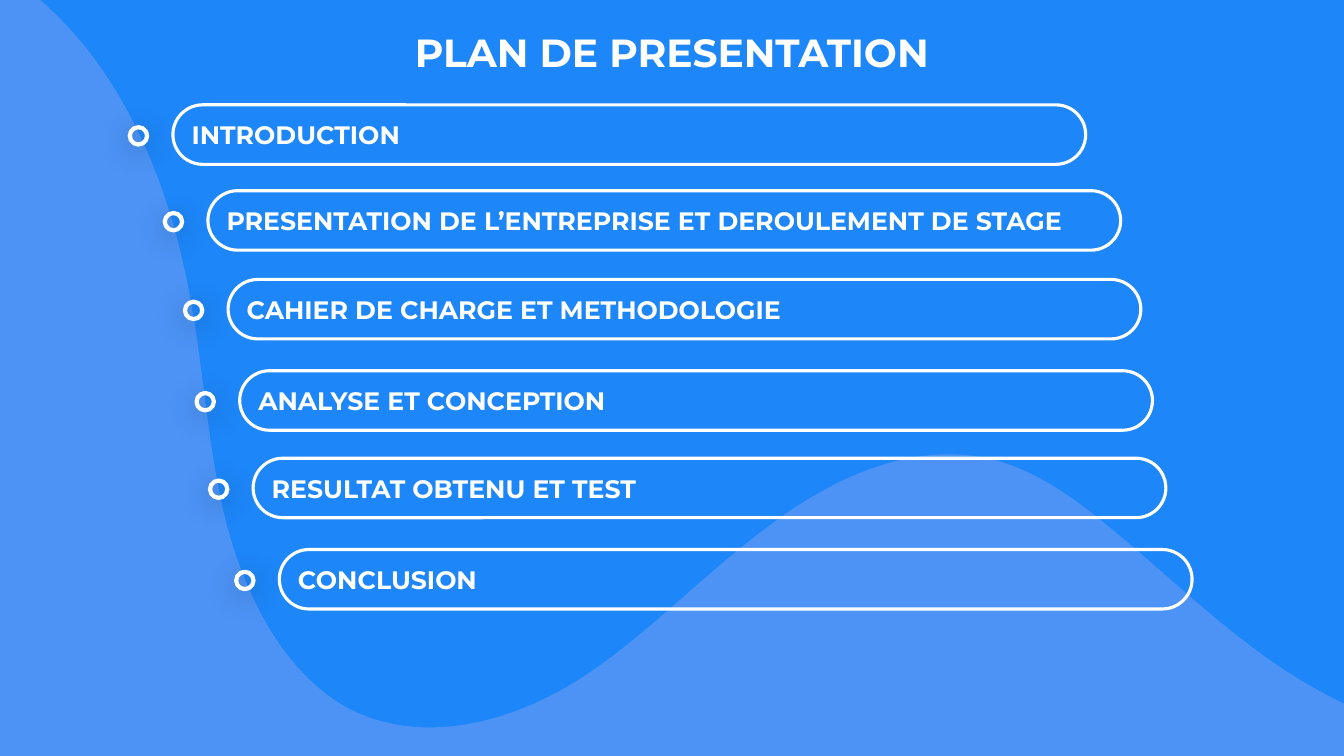
import lxml.etree
import pptx
import pptx.dml.color
import pptx.enum.shapes
import pptx.enum.text
import pptx.oxml
import pptx.oxml.ns
import pptx.util

Pt = pptx.util.Pt
RGBColor = pptx.dml.color.RGBColor
MSO_SHAPE = pptx.enum.shapes.MSO_SHAPE
MSO_ANCHOR = pptx.enum.text.MSO_ANCHOR
PP_ALIGN = pptx.enum.text.PP_ALIGN
qn = pptx.oxml.ns.qn

COLORS = {"background": "1D86F8", "wave": "4C93F5", "white": "FFFFFF", "shadow": "000000"}
WIDTH, HEIGHT = 960, 540
PILL_WIDTH, PILL_HEIGHT = 652, 42.5
RING_SIZE = 12.4
RING_OFFSET = 24.6  # from the left end of a pill to the centre of its ring

AGENDA = [
    ("INTRODUCTION", 123.5, 74.9),
    ("PRESENTATION DE L’ENTREPRISE ET DEROULEMENT DE STAGE", 148.5, 136.2),
    ("CAHIER DE CHARGE ET METHODOLOGIE", 162.9, 199.6),
    ("ANALYSE ET CONCEPTION", 171.2, 264.8),
    ("RESULTAT OBTENU ET TEST", 180.8, 327.3),
    ("CONCLUSION", 199.5, 392.5),
]

# Bézier segments of the wave edge, from right to left: two controls and an end
WAVE_START = (960, 502.6)
WAVE_CURVES = [
    ((954, 499.7), (948.2, 496.8), (943.2, 493.9)),
    ((892.1, 466.6), (848.2, 423.4), (802.8, 385.2)),
    ((774, 360.7), (743.8, 337), (709.2, 328.3)),
    ((653.8, 314.6), (596.9, 339.8), (550.1, 375.1)),
    ((502.6, 409.7), (461.5, 455), (412.6, 486)),
    ((362.9, 517), (301.7, 532.1), (250.6, 506.9)),
    ((203.8, 482.4), (175.7, 427.7), (161.3, 372.2)),
    ((147.6, 316.8), (145.4, 258.5), (133.9, 202.3)),
    ((122.4, 144), (100.8, 86.4), (66.2, 40.3)),
    ((54.7, 25.2), (42.5, 12.2), (28.8, 0)),
]
WAVE_CORNERS = [(-154.8, 0), (-154.8, 705.2), (960, 705.2)]


def style_shape(shape, fill=None, line_width=None):
    """Give the shape a solid fill or none, and a white outline or none."""
    shape.shadow.inherit = False
    if fill:
        shape.fill.solid()
        shape.fill.fore_color.rgb = RGBColor.from_string(COLORS[fill])
    else:
        shape.fill.background()
    if line_width:
        shape.line.width = Pt(line_width)
        shape.line.color.rgb = RGBColor.from_string(COLORS["white"])
    else:
        shape.line.fill.background()


def write_text(shape, text, size, alignment, anchor):
    frame = shape.text_frame
    frame.text = text
    frame.word_wrap = True
    frame.vertical_anchor = anchor
    paragraph = frame.paragraphs[0]
    paragraph.alignment = alignment
    font = paragraph.runs[0].font
    font_format = {"name": "Montserrat", "size": Pt(size), "bold": True}
    for attribute, value in font_format.items():
        setattr(font, attribute, value)
    font.color.rgb = RGBColor.from_string(COLORS["white"])


presentation = pptx.Presentation()
presentation.slide_width = Pt(WIDTH)
presentation.slide_height = Pt(HEIGHT)
slide = presentation.slides.add_slide(presentation.slide_layouts[5])
shapes = slide.shapes

background = shapes.add_shape(MSO_SHAPE.RECTANGLE, 0, 0, Pt(WIDTH), Pt(HEIGHT))
style_shape(background, fill="background")

wave_points = [curve[-1] for curve in WAVE_CURVES] + WAVE_CORNERS
builder = shapes.build_freeform(Pt(WAVE_START[0]), Pt(WAVE_START[1]))
builder.add_line_segments([(Pt(x), Pt(y)) for x, y in wave_points], close=True)
wave = builder.convert_to_shape()
style_shape(wave, fill="wave")

# Turn the straight segments of the wave edge into Bézier curves
segments = list(wave.element.iter(qn("a:lnTo")))
for segment, curve in zip(segments, WAVE_CURVES):
    bezier = lxml.etree.Element(qn("a:cubicBezTo"))
    for x, y in curve:
        point = lxml.etree.SubElement(bezier, qn("a:pt"))
        point.set("x", str(Pt(x) - wave.left))
        point.set("y", str(Pt(y) - wave.top))
    segment.getparent().replace(segment, bezier)

# The title placeholder comes first on the slide, so bring it above the wave
title = shapes.title
title.element.getparent().append(title.element)
title_box = {"left": 33.8, "top": 16.6, "width": 892.1, "height": 41}
for attribute, value in title_box.items():
    setattr(title, attribute, Pt(value))
write_text(title, "PLAN DE PRESENTATION", 28, PP_ALIGN.CENTER, MSO_ANCHOR.TOP)
title.text_frame.auto_size = pptx.enum.text.MSO_AUTO_SIZE.SHAPE_TO_FIT_TEXT

for label, left, top in AGENDA:
    ring = shapes.add_shape(
        MSO_SHAPE.OVAL,
        Pt(left - RING_OFFSET - RING_SIZE / 2),
        Pt(top + (PILL_HEIGHT - RING_SIZE) / 2 + 0.9),
        Pt(RING_SIZE), Pt(RING_SIZE),
    )
    style_shape(ring, line_width=3)
    effects = ring.element.spPr.find(qn("a:effectLst"))
    effects.append(pptx.oxml.parse_xml(
        f'<a:outerShdw {pptx.oxml.ns.nsdecls("a")} blurRad="{Pt(21)}" dist="{Pt(4)}"'
        f' dir="5400000" algn="t" rotWithShape="0"><a:srgbClr val="{COLORS["shadow"]}">'
        '<a:alpha val="29000"/></a:srgbClr></a:outerShdw>'
    ))

    pill = shapes.add_shape(
        MSO_SHAPE.ROUNDED_RECTANGLE, Pt(left), Pt(top), Pt(PILL_WIDTH), Pt(PILL_HEIGHT)
    )
    pill.adjustments[0] = 0.5
    style_shape(pill, line_width=2.25)
    write_text(pill, label, 18, PP_ALIGN.LEFT, MSO_ANCHOR.MIDDLE)

presentation.save("out.pptx")
